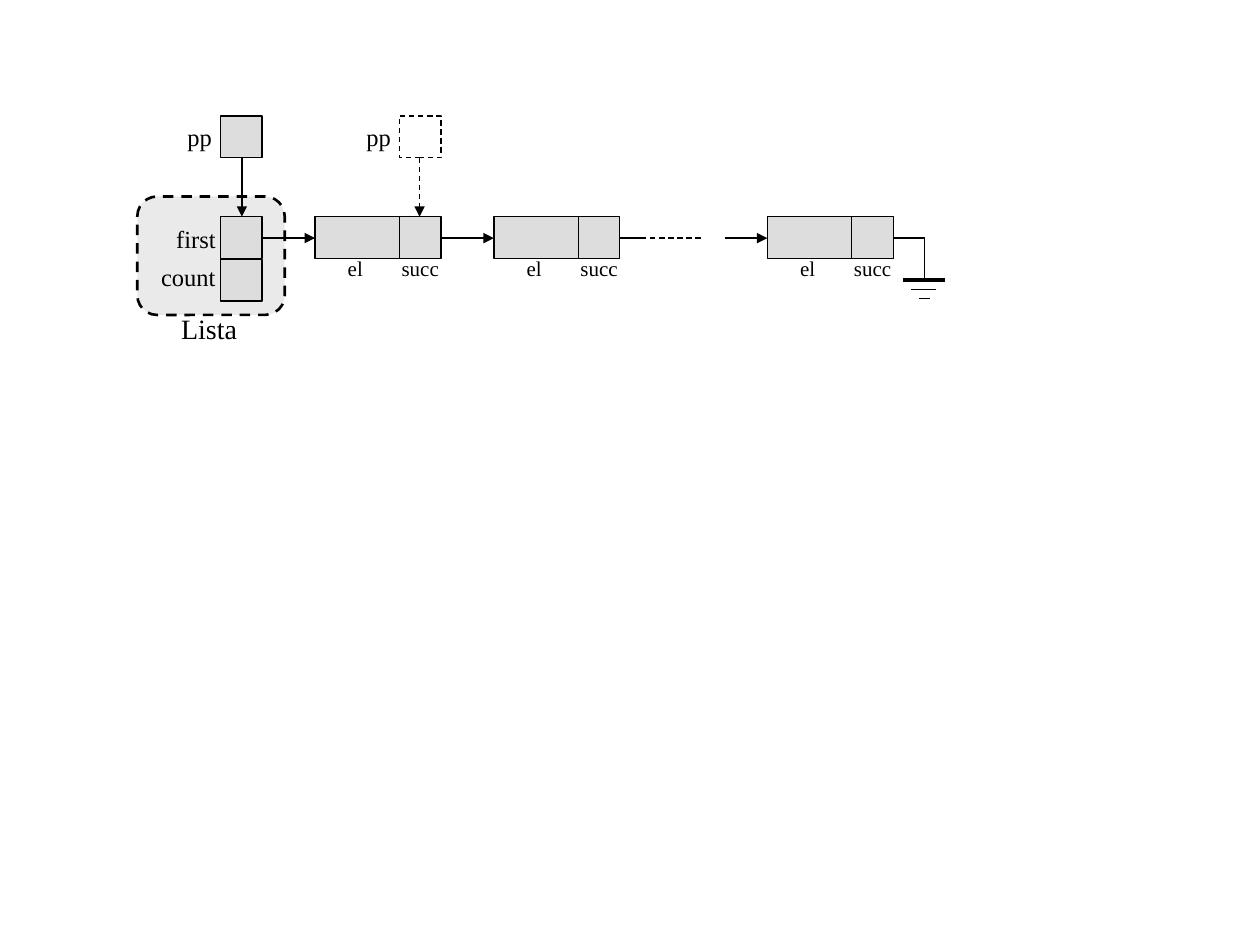
from lxml import etree
from pptx import Presentation
from pptx.dml.color import RGBColor
from pptx.enum import dml, shapes, text
from pptx.oxml import ns
from pptx.util import Inches, Pt

BLACK = RGBColor(0x00, 0x00, 0x00)
CELL_GRAY = RGBColor(0xDD, 0xDD, 0xDD)
LIST_GRAY = RGBColor(0xEA, 0xEA, 0xEA)
FONT = "Times New Roman"

CELL = 0.33        # side of a pointer cell, height of every cell
ELEMENT = 0.67     # width of an element cell
ROW = 1.72         # top of the node row
AXIS = 1.89        # height of the links between nodes
POINTER_ROW = 0.92
HEAD = 1.75        # left edge of the list head
NODES = (2.5, 3.92, 6.09)

deck = Presentation()
deck.slide_width, deck.slide_height = Inches(10), Inches(7.5)
page = deck.slides.add_slide(deck.slide_layouts[6])


def style_line(line, weight, dashed):
    line.color.rgb = BLACK
    line.width = Pt(weight)
    if dashed:
        line.dash_style = dml.MSO_LINE.DASH


def add_box(left, top, width, height, fill=CELL_GRAY, weight=0.75, dashed=False,
            kind=shapes.MSO_SHAPE.RECTANGLE):
    box = page.shapes.add_shape(kind, Inches(left), Inches(top), Inches(width), Inches(height))
    box.shadow.inherit = False
    if fill is None:
        box.fill.background()
    else:
        box.fill.solid()
        box.fill.fore_color.rgb = fill
    style_line(box.line, weight, dashed)


# List head: dashed frame with the first and count cells
add_box(1.09, 1.56, 1.17, 0.94, LIST_GRAY, 1.5, True, shapes.MSO_SHAPE.ROUNDED_RECTANGLE)
add_box(HEAD, ROW, CELL, CELL)
add_box(HEAD, 2.06, CELL, CELL)

# Nodes: element cell and successor cell
for node in NODES:
    add_box(node, ROW, ELEMENT, CELL)
    add_box(node + ELEMENT, ROW, CELL, CELL)

# Pointer cells, the second one dashed and empty
add_box(HEAD, POINTER_ROW, CELL, CELL)
add_box(NODES[0] + ELEMENT, POINTER_ROW, CELL, CELL, None, dashed=True)

# Lines: start x, start y, end x, end y, weight, dashed, arrow
links = [
    (2.09, AXIS, 2.5, AXIS, 0.75, False, True),
    (3.5, AXIS, 3.92, AXIS, 0.75, False, True),
    (4.92, AXIS, 5.09, AXIS, 0.75, False, False),
    (5.09, AXIS, 5.59, AXIS, 0.75, True, False),
    (5.75, AXIS, 6.09, AXIS, 0.75, False, True),
    (1.92, 1.25, 1.92, ROW, 0.75, False, True),
    (3.33, 1.25, 3.33, ROW, 0.75, True, True),
]
ground = [
    (7.09, AXIS, 7.34, AXIS, 0.75, False, False),
    (7.34, AXIS, 7.34, 2.22, 0.75, False, False),
    (7.17, 2.22, 7.5, 2.22, 2.25, False, False),
    (7.23, 2.3, 7.43, 2.3, 0.75, False, False),
    (7.29, 2.37, 7.38, 2.37, 0.75, False, False),
]
for x1, y1, x2, y2, weight, dashed, arrow in links + ground:
    connector = page.shapes.add_connector(
        shapes.MSO_CONNECTOR.STRAIGHT, Inches(x1), Inches(y1), Inches(x2), Inches(y2))
    style_line(connector.line, weight, dashed)
    properties = connector._element.spPr
    if arrow:
        outline = properties.find(ns.qn("a:ln"))
        etree.SubElement(outline, ns.qn("a:tailEnd"), type="triangle")
    etree.SubElement(properties, ns.qn("a:effectLst"))

# Labels: wording, left, top, width, height, size
labels = [
    ("first", 1.3, 1.73, 0.51, 0.34, 14),
    ("count", 1.18, 2.03, 0.63, 0.34, 14),
    ("Lista", 1.34, 2.42, 0.64, 0.37, 16),
    ("pp", 1.39, POINTER_ROW, 0.39, 0.34, 14),
    ("pp", 2.81, POINTER_ROW, 0.39, 0.34, 14),
]
for node in NODES:
    labels.append(("el", node + 0.16, 1.98, 0.32, 0.3, 12))
    labels.append(("succ", node + 0.59, 1.98, 0.49, 0.3, 12))

for wording, left, top, width, height, size in labels:
    box = page.shapes.add_textbox(Inches(left), Inches(top), Inches(width), Inches(height))
    frame = box.text_frame
    frame.word_wrap = False
    frame.auto_size = text.MSO_AUTO_SIZE.NONE
    frame.margin_left = frame.margin_right = Inches(0.05)
    para = frame.paragraphs[0]
    para.alignment = text.PP_ALIGN.CENTER
    span = para.add_run()
    span.text = wording
    span.font.name = FONT
    span.font.size = Pt(size)
    span.font.color.rgb = BLACK

deck.save("out.pptx")
